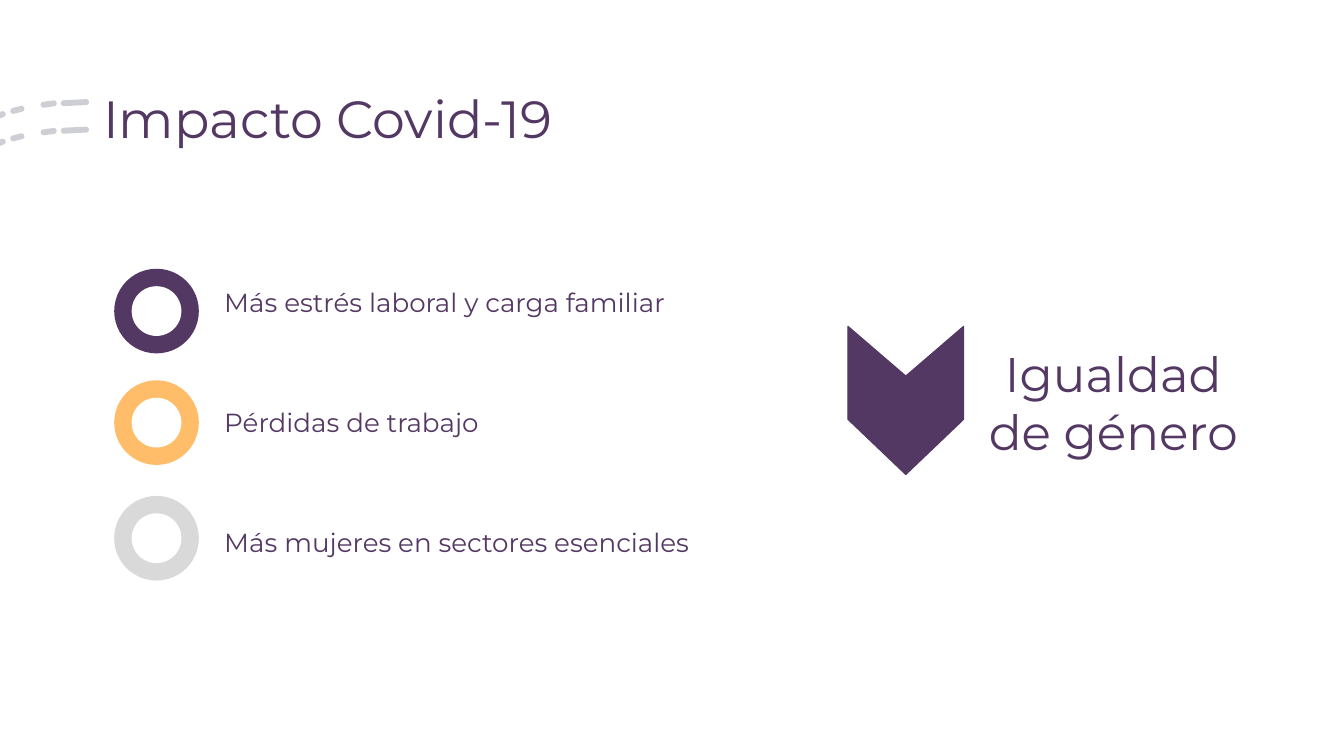
from dataclasses import dataclass
from math import atan2, cos, pi, sin

from lxml.etree import SubElement
from pptx import Presentation
from pptx.dml.color import RGBColor as Rgb
from pptx.enum.shapes import MSO_SHAPE as Shape
from pptx.enum.text import MSO_ANCHOR as Anchor, PP_ALIGN as Align
from pptx.oxml.ns import qn
from pptx.util import Inches, Pt


@dataclass(frozen=True)
class Theme:
    font: str = "Montserrat"
    plum: str = "543864"
    amber: str = "FFBD69"
    gray: str = "D9D9D9"
    navy: str = "202040"
    white: str = "FFFFFF"
    title: int = 28
    goal: int = 26
    body: int = 14


THEME = Theme()
COLS = 100
WIDTH, HEIGHT = Inches(10), Inches(5.625)
CELL = WIDTH / COLS


def grid(*cells):
    return [round(cell * CELL) for cell in cells]


def write(frame, text, size=THEME.body, color=THEME.plum, align=Align.LEFT):
    part = frame.paragraphs[0]
    part.alignment = align
    run = part.add_run()
    run.text = text
    run.font.name = THEME.font
    run.font.size = Pt(size)
    run.font.color.rgb = Rgb.from_string(color)


class Board:
    def __init__(self, theme, slide):
        self.theme = theme
        self.slide = slide

    def paint(self, shape, color, line=None, alpha=None):
        shape.shadow.inherit = False
        shape.fill.solid()
        shape.fill.fore_color.rgb = Rgb.from_string(color)
        if line:
            shape.line.color.rgb = Rgb.from_string(color)
            shape.line.width = Pt(line)
        else:
            shape.line.fill.background()
        if alpha:
            tone = shape.fill._xPr.find(".//" + qn("a:srgbClr"))
            SubElement(tone, qn("a:alpha"), val=str(alpha * 1000))

    def label(self, text, x, y, w, h, anchor=Anchor.TOP, **form):
        frame = self.slide.shapes.add_textbox(*grid(x, y, w, h)).text_frame
        frame.word_wrap = True
        frame.vertical_anchor = anchor
        frame.margin_left, frame.margin_right = grid(1, 1)
        frame.margin_top, frame.margin_bottom = grid(1, 1)
        write(frame, text, **form)

    def disc(self, x, y, size, color):
        box = grid(x, y, size, size)
        self.paint(self.slide.shapes.add_shape(Shape.OVAL, *box), color)

    def ring(self, x, y, color, size=6.3, band=1.3):
        self.disc(x, y, size, color)
        self.disc(x + band, y + band, size - 2 * band, self.theme.white)

    def shape(self, points, color, **form):
        spots = [grid(*point) for point in points]
        pen = self.slide.shapes.build_freeform(*spots[0])
        pen.add_line_segments(spots[1:], close=True)
        self.paint(pen.convert_to_shape(), color, **form)

    def dash(self, start, end, radius=0.22, steps=10):
        tilt = atan2(end[1] - start[1], end[0] - start[0])
        points = []
        for (x, y), turn in ((end, -pi / 2), (start, pi / 2)):
            for step in range(steps + 1):
                angle = tilt + turn + pi * step / steps
                points.append((x + radius * cos(angle), y + radius * sin(angle)))
        self.shape(points, self.theme.navy, alpha=22)

    def arrow(self, x, y, w, h, notch=3.7, tip=4.1):
        mid, right, side = x + w / 2, x + w, y + h - tip
        points = [(right, y), (mid, y + notch), (x, y),
                  (x, side), (mid, y + h), (right, side)]
        self.shape(points, self.theme.plum, line=0.75)


def main():
    deck = Presentation()
    deck.slide_width, deck.slide_height = WIDTH, HEIGHT
    board = Board(THEME, deck.slides.add_slide(deck.slide_layouts[6]))

    dashes = [((-0.6, 8.8), (0.2, 8.5)), ((1, 8.25), (1.6, 8.1)),
              ((3.25, 7.8), (4, 7.7)), ((4.75, 7.68), (6.4, 7.6))]
    for drop in (0, 2.05):
        for (x1, y1), (x2, y2) in dashes:
            board.dash((x1, y1 + drop), (x2, y2 + drop))

    items = [("Más estrés laboral y carga familiar", 20, 35.7, THEME.plum),
             ("Pérdidas de trabajo", 28.3, 28.2, THEME.amber),
             ("Más mujeres en sectores esenciales", 36.9, 37.3, THEME.gray)]
    for row, (text, y, width, color) in enumerate(items):
        board.ring(8.5, y, color)
        board.label(text, 15.7, 19.7 + 8.95 * row, width, 5.5, Anchor.MIDDLE)

    board.label("Impacto Covid-19", 6.7, 5.4, 87.6, 5.5, size=THEME.title)
    board.label("Igualdad de género", 72.5, 24.6, 20.7, 10.4,
                size=THEME.goal, align=Align.CENTER)
    board.arrow(63.1, 24.3, 8.6, 11)
    deck.save("out.pptx")


if __name__ == "__main__":
    main()
